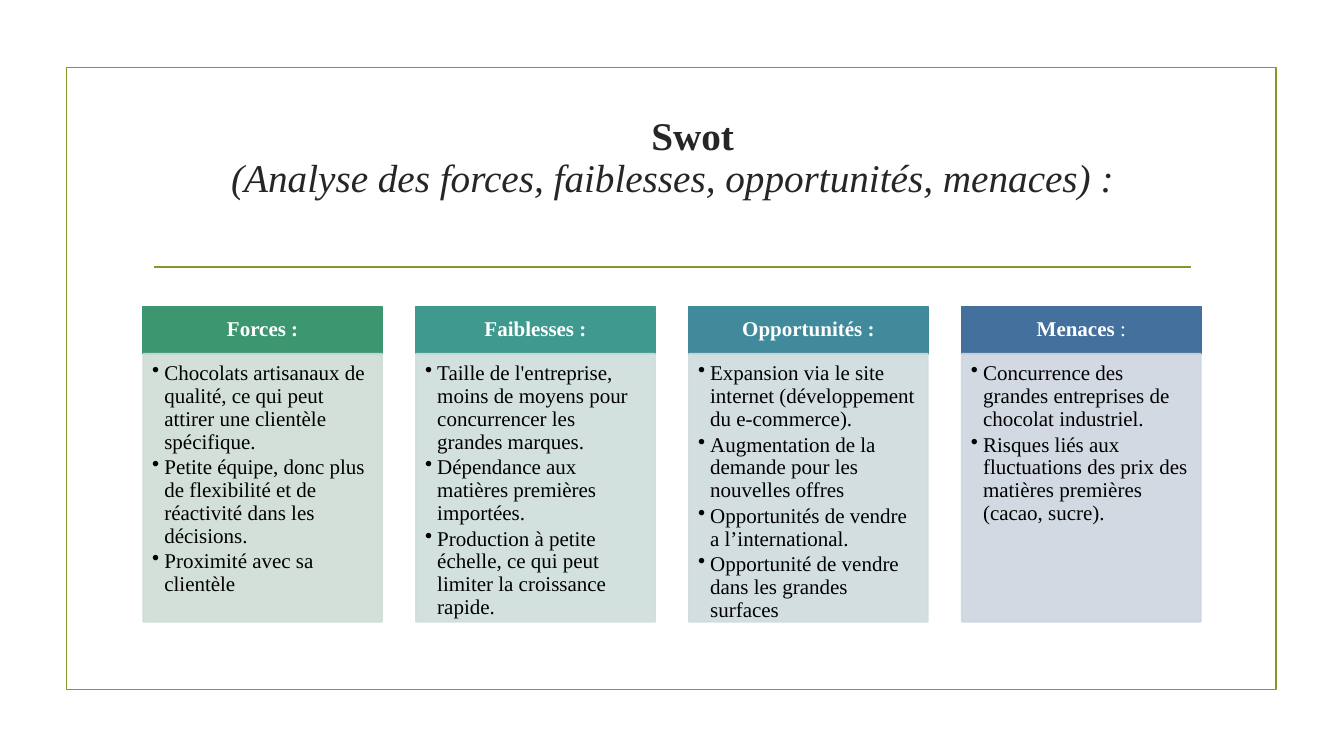
import pptx
import pptx.util
import pptx.dml.color
import pptx.enum.shapes
import pptx.enum.text
import pptx.oxml
import pptx.oxml.ns
from lxml import etree

Inches = pptx.util.Inches
Pt = pptx.util.Pt
RGBColor = pptx.dml.color.RGBColor
PP_ALIGN = pptx.enum.text.PP_ALIGN
MSO_ANCHOR = pptx.enum.text.MSO_ANCHOR
qn = pptx.oxml.ns.qn

OLIVE = RGBColor(0x83, 0x99, 0x2A)
DARK = RGBColor(0x26, 0x26, 0x26)
BLACK = RGBColor(0x00, 0x00, 0x00)
WHITE = RGBColor(0xFF, 0xFF, 0xFF)
GREEN = RGBColor(0x3C, 0x97, 0x70)
TEAL = RGBColor(0x3F, 0x99, 0x8E)
CYAN = RGBColor(0x41, 0x8A, 0x9B)
BLUE = RGBColor(0x44, 0x70, 0x9D)
PALE_GREEN = RGBColor(0xCE, 0xDD, 0xD5)
PALE_TEAL = RGBColor(0xCF, 0xDE, 0xDB)
PALE_CYAN = RGBColor(0xCF, 0xDB, 0xDE)
PALE_BLUE = RGBColor(0xCF, 0xD5, 0xDF)

COLUMNS = [
    ("Forces", True, GREEN, PALE_GREEN, [
        "Chocolats artisanaux de qualité, ce qui peut attirer une clientèle spécifique.",
        "Petite équipe, donc plus de flexibilité et de réactivité dans les décisions.",
        "Proximité avec sa clientèle",
    ]),
    ("Faiblesses", True, TEAL, PALE_TEAL, [
        "Taille de l'entreprise, moins de moyens pour concurrencer les grandes marques.",
        "Dépendance aux matières premières importées.",
        "Production à petite échelle, ce qui peut limiter la croissance rapide.",
    ]),
    ("Opportunités", True, CYAN, PALE_CYAN, [
        "Expansion via le site internet (développement du e-commerce).",
        "Augmentation de la demande pour les nouvelles offres",
        "Opportunités de vendre a l’international.",
        "Opportunité de vendre dans les grandes surfaces",
    ]),
    ("Menaces", False, BLUE, PALE_BLUE, [
        "Concurrence des grandes entreprises de chocolat industriel.",
        "Risques liés aux fluctuations des prix des matières premières (cacao, sucre).",
    ]),
]


class SwotSlide:
    font_name = "Times New Roman"
    line_width = Pt(1.25)

    def __init__(self, prs):
        self.s = prs.slides.add_slide(prs.slide_layouts[6])

    def box(self, x, y, w, h, line, fill=None, alpha=None):
        sp = self.s.shapes.add_shape(
            pptx.enum.shapes.MSO_SHAPE.RECTANGLE, Inches(x), Inches(y), Inches(w), Inches(h))
        sp.shadow.inherit = False
        sp.line.color.rgb = line
        sp.line.width = self.line_width
        if fill is None:
            sp.fill.background()
        else:
            sp.fill.solid()
            sp.fill.fore_color.rgb = fill
        if alpha:
            for clr in sp._element.spPr.iter(qn("a:srgbClr")):
                etree.SubElement(clr, qn("a:alpha"), val=str(alpha * 1000))
        return sp

    def rule(self, x1, x2, y):
        c = self.s.shapes.add_connector(
            pptx.enum.shapes.MSO_CONNECTOR.STRAIGHT, Inches(x1), Inches(y), Inches(x2), Inches(y))
        c.line.color.rgb = OLIVE
        c.line.width = self.line_width
        etree.SubElement(c._element.spPr, qn("a:effectLst"))

    def frame(self, sp, anchor, insets):
        tf = sp.text_frame
        left, top, right, bottom = map(Inches, insets)
        fmt = {"word_wrap": True, "vertical_anchor": anchor, "margin_left": left,
               "margin_top": top, "margin_right": right, "margin_bottom": bottom}
        for name, value in fmt.items():
            setattr(tf, name, value)
        return tf

    def paragraph(self, tf, runs, align, after=0, indent=0, bullet=False, **fmt):
        p = tf.paragraphs[0]
        if p.runs:
            p = tf.add_paragraph()
        pPr = p._p.get_or_add_pPr()
        if indent:
            pPr.set("marL", str(Inches(indent)))
        if bullet:
            pPr.set("indent", str(-Inches(indent)))
            etree.SubElement(pPr, qn("a:buChar"), char="•")
        para = {"alignment": align, "line_spacing": 0.9, "space_after": Pt(after)}
        for name, value in para.items():
            setattr(p, name, value)
        for text, extra in runs:
            r = p.add_run()
            r.text = text
            style = {"name": self.font_name, **fmt, **extra}
            r.font.color.rgb = style.pop("color")
            for name, value in style.items():
                setattr(r.font, name, value)

    def title(self, heading, subtitle):
        sp = self.s.shapes.add_textbox(Inches(1.42), Inches(1.07), Inches(10.5), Inches(1.43))
        tf = self.frame(sp, MSO_ANCHOR.MIDDLE, (0.1, 0.05, 0.1, 0.47))
        fmt = {"size": Pt(28), "color": DARK}
        self.paragraph(tf, [(heading, {"bold": True})], PP_ALIGN.CENTER, indent=0.4, **fmt)
        self.paragraph(tf, [(subtitle, {"italic": True})], PP_ALIGN.CENTER, **fmt)

    def column(self, x, name, bold_colon, color, pale, points):
        head = self.box(x, 3.04, 2.37, 0.47, color, color)
        tf = self.frame(head, MSO_ANCHOR.MIDDLE, (0.12, 0.07, 0.12, 0.07))
        runs = [(name, {"bold": True}), (" :", {"bold": bold_colon})]
        self.paragraph(tf, runs, PP_ALIGN.CENTER, size=Pt(15), color=WHITE)
        body = self.box(x, 3.51, 2.37, 2.66, pale, pale, 90)
        tf = self.frame(body, MSO_ANCHOR.TOP, (0.09, 0.09, 0.12, 0.13))
        for point in points:
            self.paragraph(tf, [(point, {})], PP_ALIGN.LEFT, after=2.25, indent=0.12,
                           bullet=True, size=Pt(15), color=BLACK)


def main():
    prs = pptx.Presentation()
    prs.slide_width = Inches(13.33)
    prs.slide_height = Inches(7.5)
    swot = SwotSlide(prs)
    swot.box(0.66, 0.67, 12, 6.17, OLIVE)
    swot.rule(1.53, 11.81, 2.65)
    swot.title("Swot", "(Analyse des forces, faiblesses, opportunités, menaces) :")
    pitch = (9.54 - 1.42) / 3
    for i, column in enumerate(COLUMNS):
        swot.column(1.42 + i * pitch, *column)
    prs.save("out.pptx")


if __name__ == "__main__":
    main()
